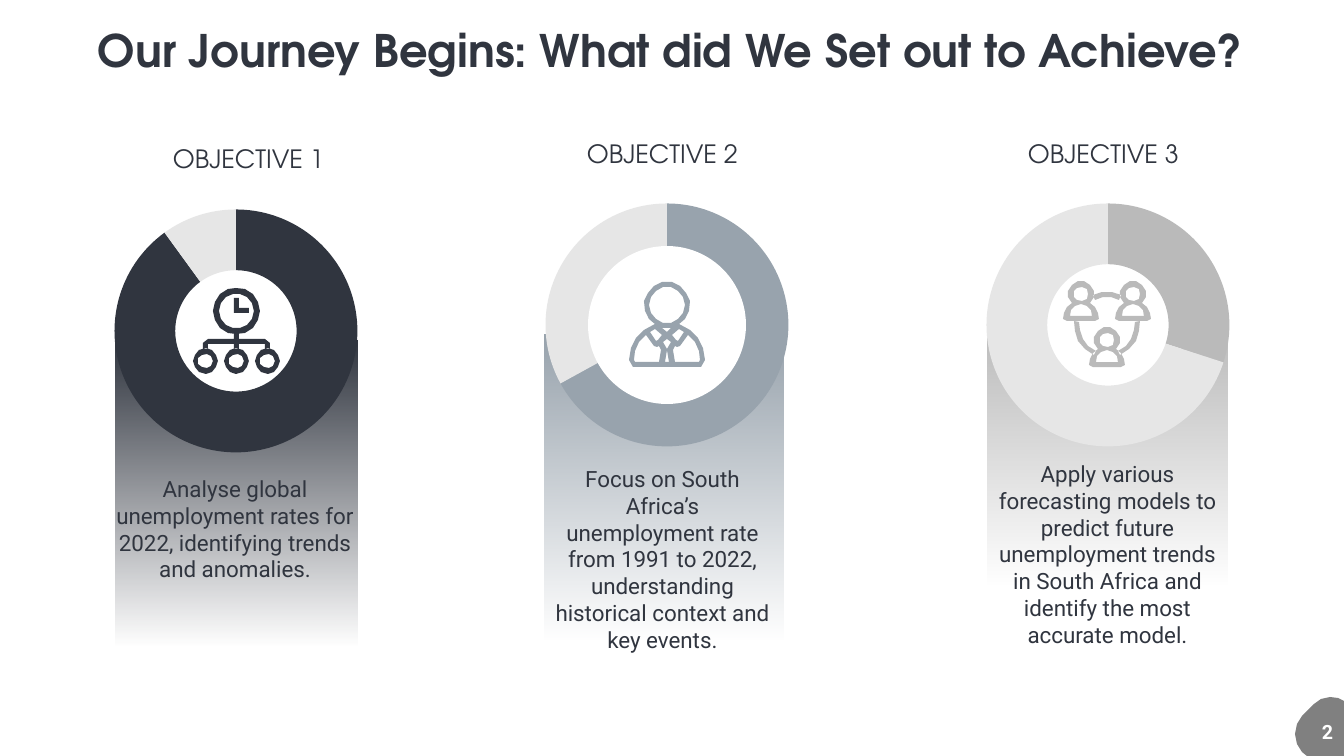
"""Build a slide of three project objectives, each with a doughnut, an icon and a fading panel."""
import math

import pptx
import pptx.chart.data
import pptx.dml.color
import pptx.enum.chart
import pptx.enum.shapes
import pptx.enum.text
import pptx.util
from lxml import etree

SLIDE_SIZE = (1344, 756)
PX = 12192000 / 1344
THEME = {
    "ink": "30353F", "steel": "98A3AD", "silver": "BABABA", "rest": "E6E6E6",
    "badge": "808080", "white": "FFFFFF", "black": "000000",
    "heading": "TeX Gyre Adventor", "body": "Roboto",
    "title_size": 32, "label_size": 18, "text_size": 16, "number_size": 14, "chart_size": 10,
}
TITLE = "Our Journey Begins: What did We Set out to Achieve?"
OBJECTIVES = [
    {"label": "OBJECTIVE 1", "color": "ink", "shares": (90, 10), "icon": "clock", "disc_on_top": False,
     "text": "Analyse global unemployment rates for 2022, identifying trends and anomalies.",
     "label_at": (173, 143, 152, 30), "panel_at": (116, 341, 241, 306),
     "center": (236, 331), "text_at": (116, 475, 238, 109)},
    {"label": "OBJECTIVE 2", "color": "steel", "shares": (67, 33), "icon": "manager", "disc_on_top": True,
     "text": "Focus on South Africa’s unemployment rate from 1991 to 2022, understanding "
             "historical context and key events.",
     "label_at": (587, 138, 152, 30), "panel_at": (545, 335, 239, 306),
     "center": (667, 325), "text_at": (554, 465, 217, 163)},
    {"label": "OBJECTIVE 3", "color": "silver", "shares": (30, 70), "icon": "team", "disc_on_top": False,
     "text": "Apply various forecasting models to predict future unemployment trends in South "
             "Africa and identify the most accurate model.",
     "label_at": (1028, 138, 152, 30), "panel_at": (988, 324, 240, 262),
     "center": (1108, 325), "text_at": (992, 460, 231, 190)},
]
CHART_SIZE = (405, 270)
DISC = 158
ARC_TOLERANCE = 0.5
CLOCK_HAND = [(234, 298), (239, 298), (239, 308), (249, 308), (249, 313), (234, 313)]
TREE_RIGHT = [(239, 334), (239, 339), (265, 339), (270, 343), (270, 349), (265, 349), (265, 344),
              (239, 344), (239, 349)]
LAPEL = [(658, 340), (656, 341), (650, 332), (655, 329), (662, 335)]
SHIRT_EDGE = [(654, 346), (657, 347), (659, 346), (661, 350), (659, 362), (635, 362)]
COLLAR = [(671, 328), (667, 332), (662, 328)]
KNOT = [(667, 349), (663, 342), (667, 339), (671, 342)]
TIE = [(665, 362), (667, 350), (669, 362)]


def color(name):
    return pptx.dml.color.RGBColor.from_string(THEME[name])


def lengths(values):
    return [pptx.util.Emu(round(value * PX)) for value in values]


def arc(x, y, radius, start=0, end=360):
    widest = 2 * math.degrees(math.acos(1 - ARC_TOLERANCE / radius))
    steps = math.ceil(abs(end - start) / widest)
    angles = [math.radians(start + (end - start) * step / steps) for step in range(steps + 1)]
    return [(x + radius * math.cos(angle), y + radius * math.sin(angle)) for angle in angles]


def ring(x, y, outer, inner):
    return [arc(x, y, outer), arc(x, y, inner)]


def band(x, y, outer, inner, start, end):
    return arc(x, y, outer, start, end) + arc(x, y, inner, end, start)


def mirror(points, axis):
    return [(2 * axis - x, y) for x, y in reversed(points)]


def silhouette(x, head_y, head, neck, shoulder_y, shoulder, slope, base):
    return (arc(x, head_y, head, 180 - neck, 360 + neck)
            + arc(x, shoulder_y, shoulder, -slope, 0)
            + [(x + shoulder - 4, base), (x - shoulder + 4, base)]
            + arc(x, shoulder_y, shoulder, 180, 180 + slope))


def clock_icon():
    contours = ring(236.5, 311, 23.5, 17.5)
    for offset in (-31, 0, 31):
        contours += ring(236.5 + offset, 361, 12.5, 7.5)
    return [contours + [TREE_RIGHT + mirror(TREE_RIGHT, 236.5)], [CLOCK_HAND]]


def manager_icon():
    jacket = arc(667, 360, 33, 180, 230) + SHIRT_EDGE
    halves = [part for half in (jacket, LAPEL) for part in (half, mirror(half, 667))]
    outline = silhouette(667, 305, 23, 60, 360, 38, 71, 367)
    return [[outline, arc(667, 305, 18), COLLAR, KNOT, TIE] + halves]


def team_icon():
    contours = []
    for x, head_y in ((1081, 294), (1133, 294), (1107, 340)):
        contours += [silhouette(x, head_y, 13, 45, head_y + 25, 18, 60, head_y + 27),
                     arc(x, head_y, 7.5), arc(x, head_y + 22, 11.5, 180, 360)]
    for start, end in ((-116, -64), (-7, 66), (114, 187)):
        contours.append(band(1107, 325, 33, 28, start, end))
    return [contours]


ICONS = {"clock": clock_icon, "manager": manager_icon, "team": team_icon}


def paint(shape, name):
    shape.shadow.inherit = False
    shape.fill.solid()
    shape.fill.fore_color.rgb = color(name)
    shape.line.fill.background()


def add_outline(slide, contours, name):
    builder = None
    for first, *rest in contours:
        if builder is None:
            builder = slide.shapes.build_freeform(*first, scale=PX)
        else:
            builder.move_to(*first)
        builder.add_line_segments(rest, close=True)
    paint(builder.convert_to_shape(), name)


def add_text(slide, text, box, size, font="body", ink="ink", bold=False, wrap=True, inset=True):
    frame = slide.shapes.add_textbox(*lengths(box)).text_frame
    frame.word_wrap = wrap
    frame.auto_size = pptx.enum.text.MSO_AUTO_SIZE.SHAPE_TO_FIT_TEXT
    if not inset:
        frame.margin_left = frame.margin_top = frame.margin_right = frame.margin_bottom = 0
    paragraph = frame.paragraphs[0]
    paragraph.text = text
    paragraph.alignment = pptx.enum.text.PP_ALIGN.CENTER if wrap else pptx.enum.text.PP_ALIGN.LEFT
    paragraph.font.name = THEME[font]
    paragraph.font.size = pptx.util.Pt(THEME[size])
    paragraph.font.bold = bold
    paragraph.font.color.rgb = color(ink)


def add_panel(slide, box, name):
    panel = slide.shapes.add_shape(pptx.enum.shapes.MSO_SHAPE.RECTANGLE, *lengths(box))
    panel.shadow.inherit = False
    panel.line.fill.background()
    panel.fill.gradient()
    panel.fill.gradient_angle = 270
    for stop in panel.fill.gradient_stops:
        stop.color.rgb = color(name)
    namespace = "{http://schemas.openxmlformats.org/drawingml/2006/main}"
    last_color = list(panel._element.spPr.iter(namespace + "srgbClr"))[-1]
    etree.SubElement(last_color, namespace + "alpha", val="0")


def add_doughnut(slide, center, shares, name):
    data = pptx.chart.data.CategoryChartData()
    data.categories = ["1", "2"]
    data.add_series("Series 1", shares)
    width, height = CHART_SIZE
    box = lengths((center[0] - width / 2, center[1] - height / 2, width, height))
    chart = slide.shapes.add_chart(pptx.enum.chart.XL_CHART_TYPE.DOUGHNUT, *box, data).chart
    chart.has_title = False
    chart.has_legend = False
    chart.font.name = THEME["body"]
    chart.font.size = pptx.util.Pt(THEME["chart_size"])
    chart.font.color.rgb = color("black")
    plot = chart.plots[0]
    plot.vary_by_categories = True
    for index, fill_name in enumerate((name, "rest")):
        point_format = plot.series[0].points[index].format
        point_format.fill.solid()
        point_format.fill.fore_color.rgb = color(fill_name)
        point_format.line.fill.background()
    namespace = "{http://schemas.openxmlformats.org/drawingml/2006/chart}"
    next(chart._chartSpace.iter(namespace + "holeSize")).set("val", "65")
    plot_area = next(chart._chartSpace.iter(namespace + "plotArea"))
    layout = plot_area.find(namespace + "layout")
    if layout is None:
        layout = etree.Element(namespace + "layout")
        plot_area.insert(0, layout)
    manual = etree.SubElement(layout, namespace + "manualLayout")
    settings = (("layoutTarget", "inner"), ("xMode", "edge"), ("yMode", "edge"),
                ("x", "0.2"), ("y", "0.05"), ("w", "0.6"), ("h", "0.9"))
    for tag, value in settings:
        etree.SubElement(manual, namespace + tag, val=value)


def add_disc(slide, center):
    box = (center[0] - DISC / 2, center[1] - DISC / 2, DISC, DISC)
    paint(slide.shapes.add_shape(pptx.enum.shapes.MSO_SHAPE.OVAL, *lengths(box)), "white")


def add_objective(slide, objective):
    center, name = objective["center"], objective["color"]
    add_text(slide, objective["label"], objective["label_at"], "label_size", "heading", wrap=False, inset=False)
    add_panel(slide, objective["panel_at"], name)
    if not objective["disc_on_top"]:
        add_disc(slide, center)
    add_doughnut(slide, center, objective["shares"], name)
    if objective["disc_on_top"]:
        add_disc(slide, center)
    for contours in ICONS[objective["icon"]]():
        add_outline(slide, contours, name)
    add_text(slide, objective["text"], objective["text_at"], "text_size", inset=False)


def main():
    presentation = pptx.Presentation()
    presentation.slide_width, presentation.slide_height = lengths(SLIDE_SIZE)
    slide = presentation.slides.add_slide(presentation.slide_layouts[6])
    badge = (arc(1320, 734, 25, 135, 225) + arc(1332, 722, 25, 225, 285)
             + [(1344, 701), (1344, 756), (1307, 756)])
    add_outline(slide, [badge], "badge")
    add_text(slide, "2", (1312, 715, 30, 34), "number_size", ink="white", bold=True, wrap=False)
    for objective in OBJECTIVES:
        add_objective(slide, objective)
    add_text(slide, TITLE, (31, 23, 1279, 54), "title_size", "heading", bold=True, inset=False)
    presentation.save("out.pptx")


if __name__ == "__main__":
    main()
